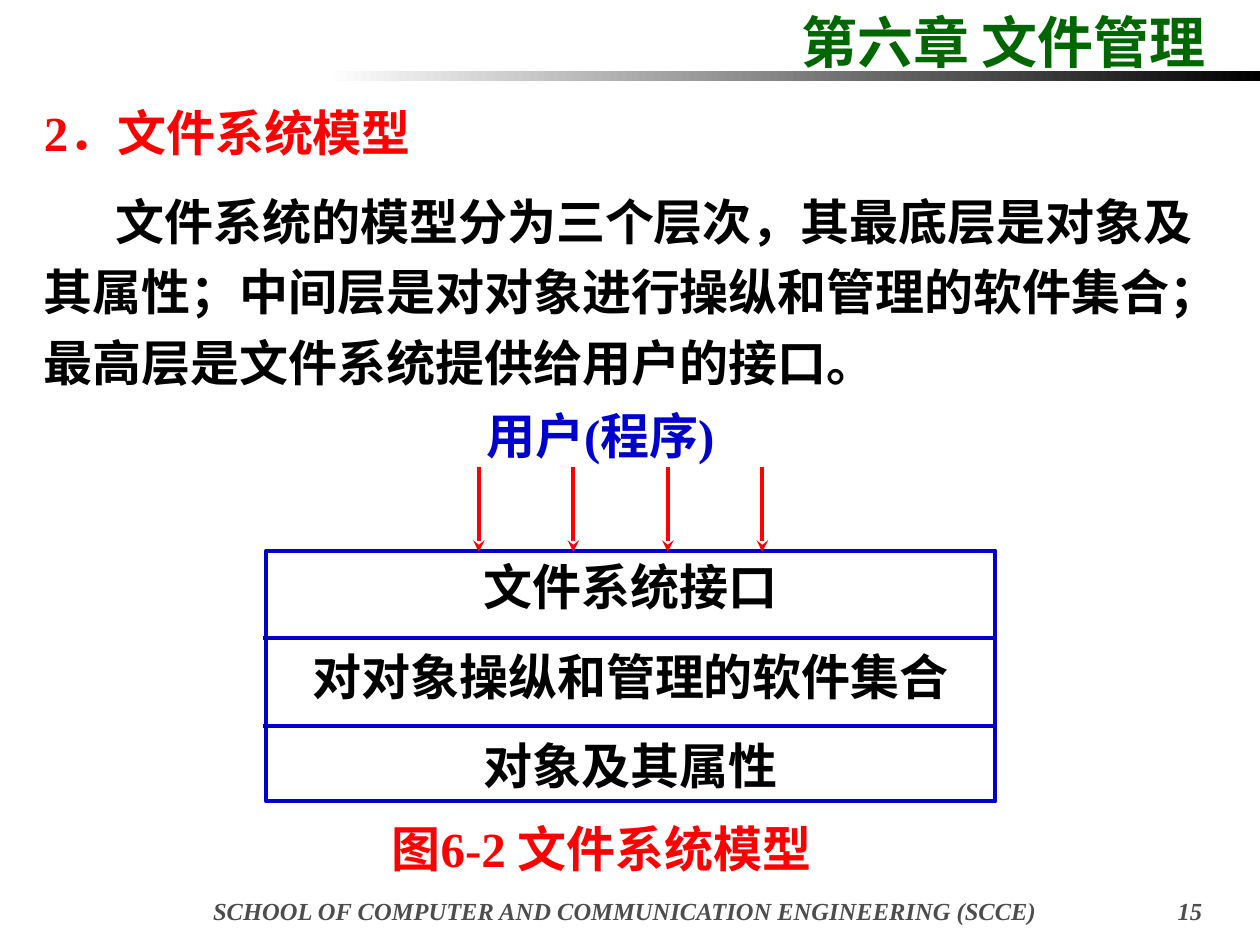
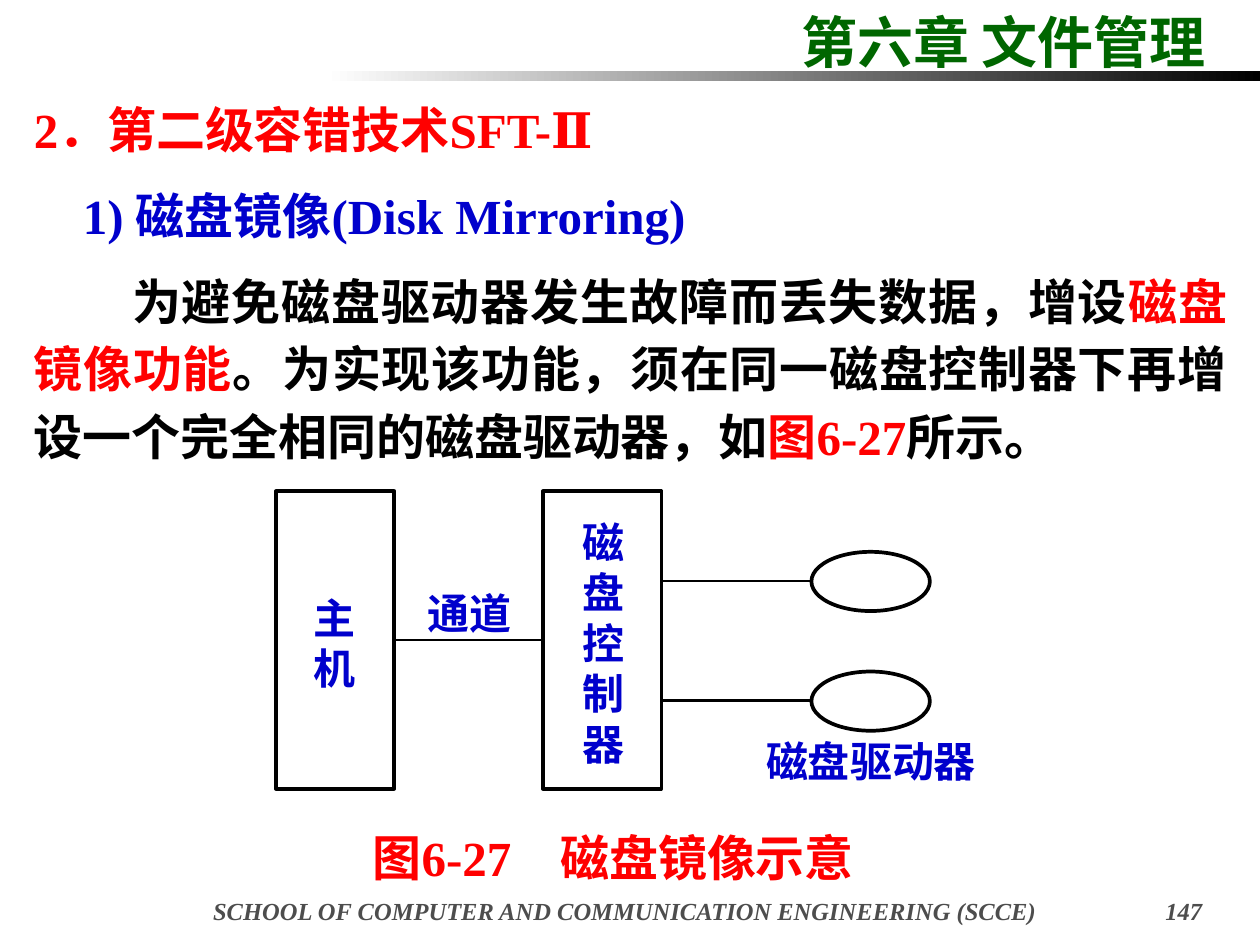
from dataclasses import dataclass, replace

from lxml import etree
from pptx import Presentation
from pptx.dml.color import RGBColor
from pptx.enum.shapes import MSO_CONNECTOR, MSO_SHAPE
from pptx.enum.text import MSO_ANCHOR, MSO_AUTO_SIZE, PP_ALIGN
from pptx.oxml.ns import qn
from pptx.util import Pt

PX = 9144  # EMU per px, 100 px to the inch
LEFT, MID, RIGHT, FULL = PP_ALIGN.LEFT, PP_ALIGN.CENTER, PP_ALIGN.RIGHT, PP_ALIGN.JUSTIFY
TOP = MSO_ANCHOR.TOP
FIT = MSO_AUTO_SIZE.SHAPE_TO_FIT_TEXT
RECT, OVAL = MSO_SHAPE.RECTANGLE, MSO_SHAPE.OVAL
STRAIGHT = MSO_CONNECTOR.STRAIGHT
TIMES, NOTO = "Times New Roman", "Noto Sans CJK SC"
COLORS = {
    "black": "000000",
    "white": "FFFFFF",
    "red": "FF0000",
    "blue": "0000CC",
    "green": "006600",
    "gray": "4D4D4D",
}


@dataclass(frozen=True)
class Look:
    size: int
    color: str
    font: str = TIMES
    align: PP_ALIGN = LEFT
    lead: float = 1.0
    before: float = 0
    indent: int = 0
    italic: bool = False


@dataclass(frozen=True)
class Para:
    """One paragraph; spans holds (text, color) pairs when colors differ."""
    look: Look
    text: str = ""
    spans: tuple = ()


@dataclass(frozen=True)
class Box:
    x: int
    y: int
    w: int
    h: int

    def emu(self) -> tuple:
        return tuple(v * PX for v in (self.x, self.y, self.w, self.h))


TITLE = Look(32, "green")
HEAD = Look(28, "red", align=FULL)
FIGURE = Look(28, "red")
FOOT = Look(14, "gray", align=MID, italic=True)
LABEL = Look(24, "blue", NOTO)
LAYER = Look(28, "black", align=MID, before=17.5)


def paint(color: str) -> RGBColor:
    return RGBColor.from_string(COLORS[color])


def write(frame, paras: list[Para], pad: tuple = (10, 5), wrap: bool = True) -> None:
    frame.word_wrap = wrap
    frame.vertical_anchor = TOP
    frame.margin_left = frame.margin_right = pad[0] * PX
    frame.margin_top = frame.margin_bottom = pad[1] * PX
    for i, item in enumerate(paras):
        look = item.look
        para = frame.paragraphs[0] if i == 0 else frame.add_paragraph()
        para.alignment = look.align
        para.line_spacing = Pt(round(look.size * 1.2 * look.lead, 1))
        if i:
            para.space_before = Pt(look.before)
        if look.indent:
            para._p.get_or_add_pPr().set("indent", str(look.indent * PX))
        font = para.font
        font.size, font.name = Pt(look.size), look.font
        font.bold, font.italic = True, look.italic
        if item.spans:
            for text, color in item.spans:
                run = para.add_run()
                run.text = text
                run.font.color.rgb = paint(color)
        else:
            font.color.rgb = paint(look.color)
            para.add_run().text = item.text


def add_text(slide, box: Box, *paras: Para, pad: tuple = (10, 5), wrap: bool = True) -> None:
    frame = slide.shapes.add_textbox(*box.emu()).text_frame
    write(frame, list(paras), pad, wrap)
    if not wrap:
        frame.auto_size = FIT


def add_label(slide, box: Box, text: str) -> None:
    add_text(slide, box, Para(LABEL, text), pad=(0, 0), wrap=False)


def add_stack(slide, x: int, y: int, text: str) -> None:
    """Write the text downward, one character to a label."""
    for i, char in enumerate(text):
        add_label(slide, Box(x, y + 40 * i, 33, 40), char)


def add_box(slide, kind, box: Box, line: str, width: float, fill: str = ""):
    shape = slide.shapes.add_shape(kind, *box.emu())
    shape.shadow.inherit = False
    if fill:
        shape.fill.solid()
        shape.fill.fore_color.rgb = paint(fill)
    else:
        shape.fill.background()
    shape.line.color.rgb = paint(line)
    shape.line.width = Pt(width)
    return shape


def add_line(slide, start: tuple, end: tuple, color: str, width: float, arrow: bool = False):
    ends = [v * PX for v in (*start, *end)]
    link = slide.shapes.add_connector(STRAIGHT, *ends)
    link.line.color.rgb = paint(color)
    link.line.width = Pt(width)
    if arrow:
        etree.SubElement(link.line._get_or_add_ln(), qn("a:tailEnd"), type="stealth")
    etree.SubElement(link._element.spPr, qn("a:effectLst"))
    return link


def add_page(deck, number: int):
    """Add a blank slide with the chapter title, band and footer."""
    slide = deck.slides.add_slide(deck.slide_layouts[6])
    add_text(slide, Box(626, 1, 360, 64), Para(TITLE, "第六章 文件管理"))
    band = slide.shapes.add_shape(RECT, *Box(258, 56, 742, 8).emu())
    band.shadow.inherit = False
    band.line.fill.background()
    band.fill.gradient()
    band.fill.gradient_angle = 180
    for stop, color in zip(band.fill.gradient_stops, ("black", "white")):
        stop.color.rgb = paint(color)
    school = "SCHOOL OF COMPUTER AND COMMUNICATION ENGINEERING (SCCE)"
    add_text(slide, Box(122, 706, 748, 26), Para(FOOT, school))
    add_text(slide, Box(870, 706, 94, 24), Para(replace(FOOT, align=RIGHT), str(number)))
    return slide


def draw_model(deck) -> None:
    slide = add_page(deck, 15)
    body = Look(28, "black", NOTO, lead=1.2, before=10.5, indent=57)
    add_text(
        slide, Box(25, 67, 958, 249),
        Para(replace(HEAD, lead=1.2), "2．文件系统模型"),
        Para(body, "文件系统的模型分为三个层次，其最底层是对象及其属性；"
                   "中间层是对对象进行操纵和管理的软件集合；"
                   "最高层是文件系统提供给用户的接口。"))
    add_text(slide, Box(301, 645, 389, 57), Para(FIGURE, "图6-2 文件系统模型"), wrap=False)

    layers = ("文件系统接口", "对对象操纵和管理的软件集合", "对象及其属性")
    model = add_box(slide, RECT, Box(211, 437, 579, 199), "blue", 2.25)
    write(model.text_frame, [Para(LAYER, name) for name in layers])
    for y in (506, 576):
        add_line(slide, (209, y), (791, y), "blue", 2.25)

    add_text(slide, Box(376, 317, 229, 57), Para(replace(FIGURE, color="blue"), "用户(程序)"),
             wrap=False)
    for x in range(380, 606, 75):
        add_line(slide, (x, 371), (x, 438), "red", 2.25, arrow=True)


def draw_mirror(deck) -> None:
    slide = add_page(deck, 147)
    head = replace(HEAD, lead=1.15, before=10.5)
    add_text(
        slide, Box(17, 67, 967, 308),
        Para(head, "2．第二级容错技术SFT-Ⅱ"),
        Para(replace(head, color="blue", indent=39), "1) 磁盘镜像(Disk Mirroring)"),
        Para(replace(head, indent=78), spans=(
            ("为避免磁盘驱动器发生故障而丢失数据，增设", "black"),
            ("磁盘镜像功能", "red"),
            ("。为实现该功能，须在同一磁盘控制器下再增设一个完全相同的磁盘驱动器，如", "black"),
            ("图6-27", "red"),
            ("所示。", "black"))))
    add_text(slide, Box(286, 652, 428, 57), Para(FIGURE, "图6-27　磁盘镜像示意"), wrap=False)

    host, control = [
        add_box(slide, RECT, Box(x, 390, 94, 236), "black", 2.13, "white") for x in (219, 431)]
    add_stack(slide, 249, 470, "主机")
    add_stack(slide, 462, 410, "磁盘控制器")
    channel = add_line(slide, (313, 508), (431, 508), "black", 1.25)
    channel.begin_connect(host, 3)
    channel.end_connect(control, 1)
    add_label(slide, Box(339, 466, 67, 40), "通道")
    for y in (461, 556):
        add_line(slide, (526, y), (644, y), "black", 1.25)
        add_box(slide, OVAL, Box(644, y - 23, 94, 47), "black", 2.13)
    add_label(slide, Box(608, 584, 167, 40), "磁盘驱动器")


def main() -> None:
    deck = Presentation()
    deck.slide_width, deck.slide_height = 1000 * PX, 750 * PX
    draw_model(deck)
    draw_mirror(deck)
    deck.save("out.pptx")


if __name__ == "__main__":
    main()
